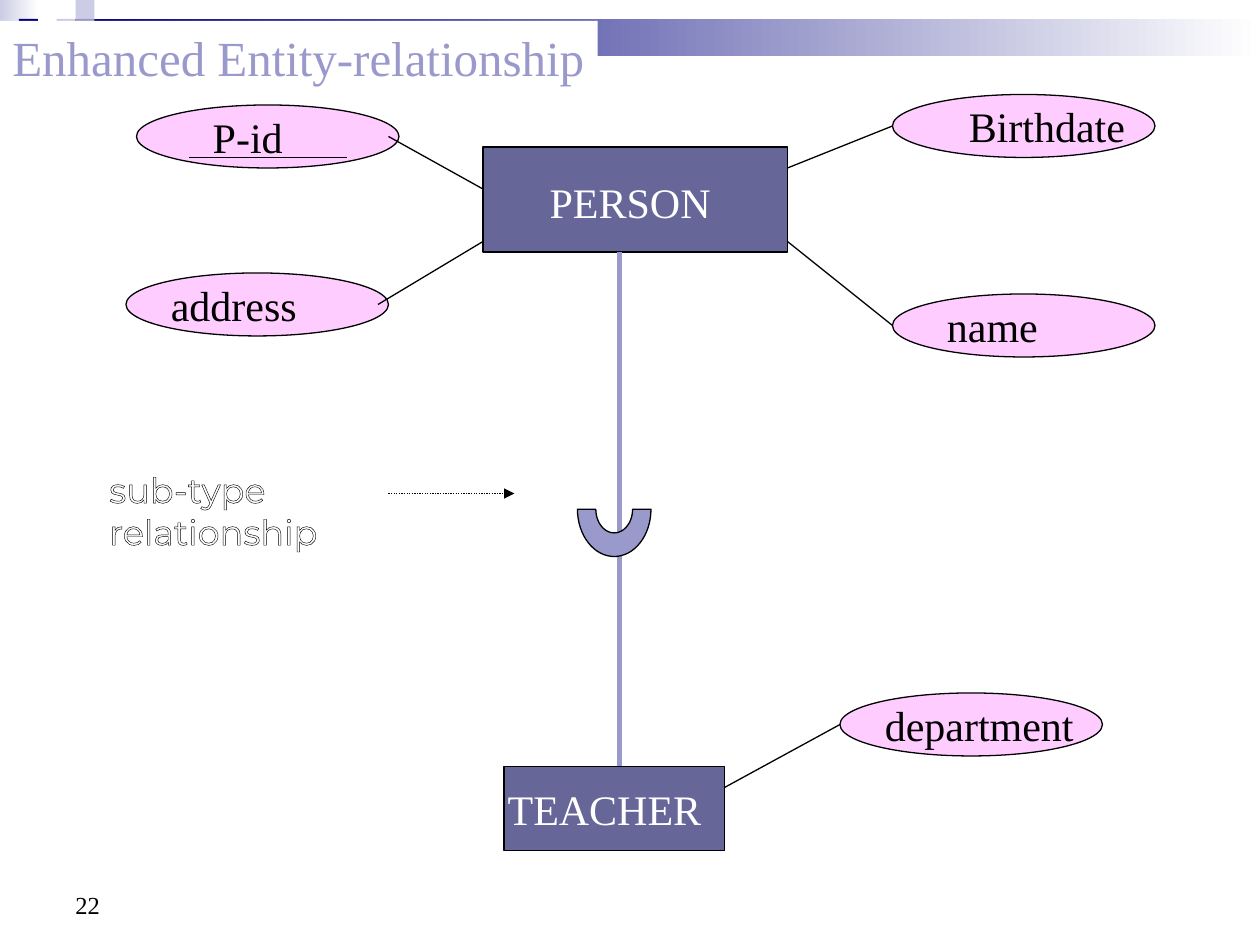
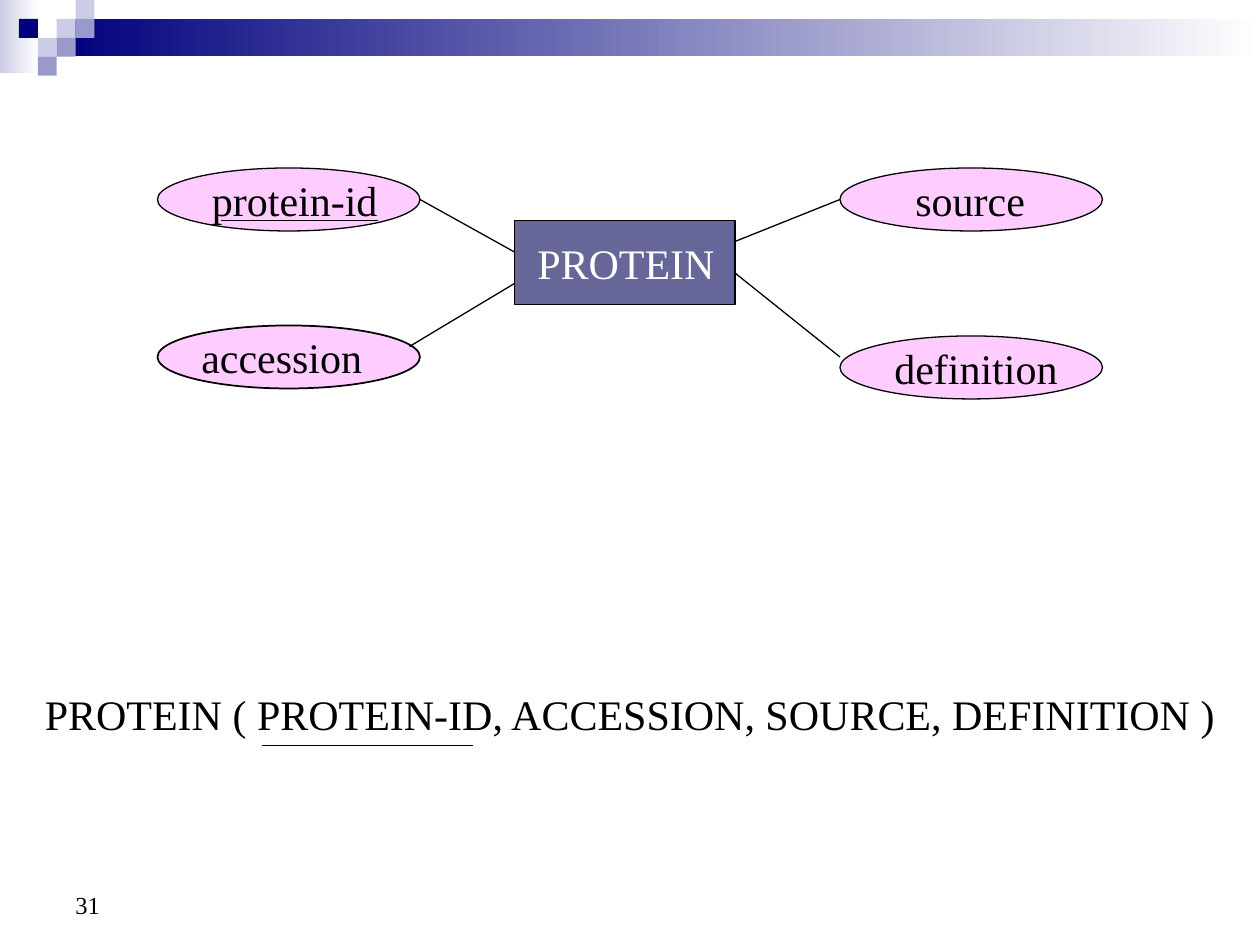
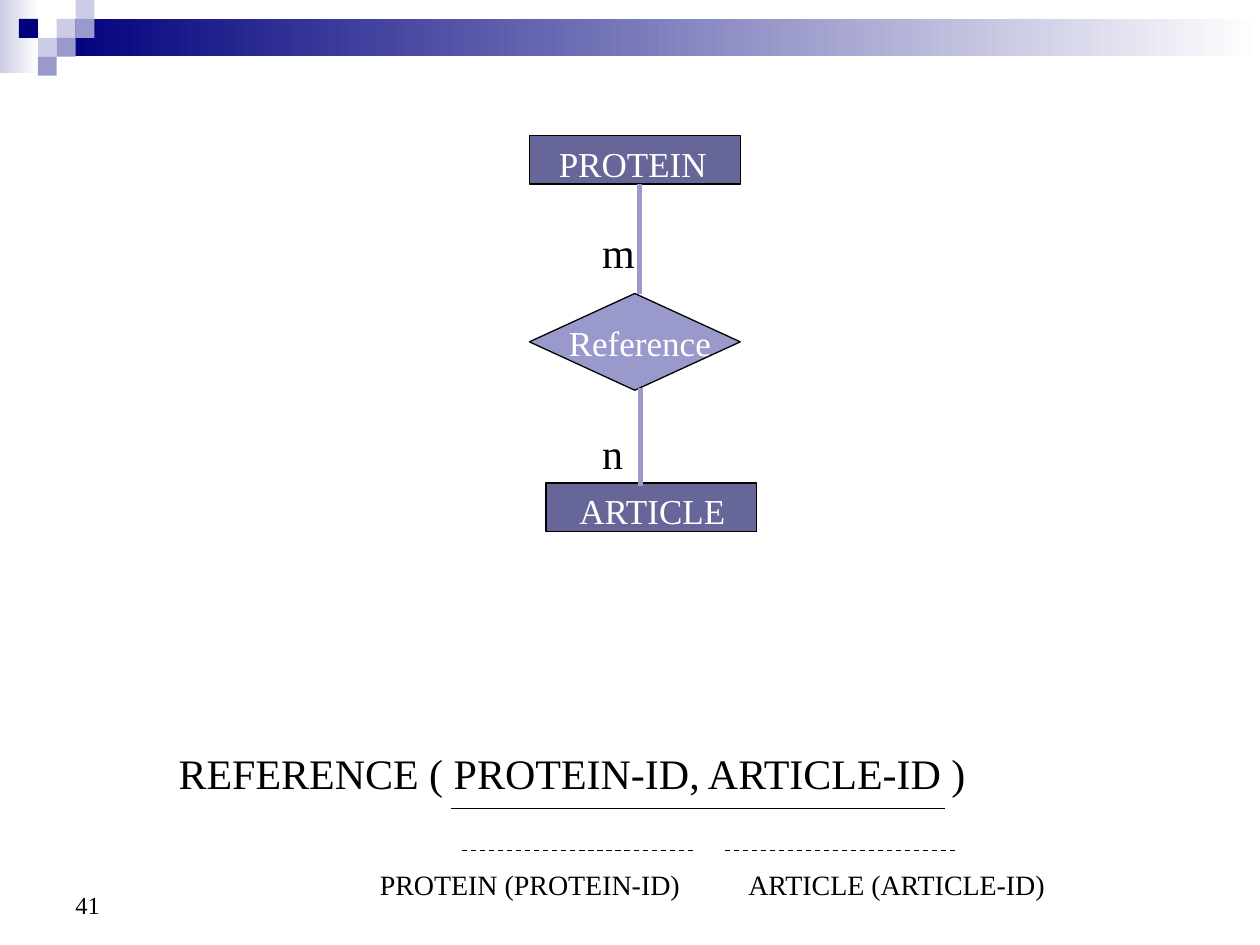
from dataclasses import dataclass
from math import cos, pi, sin

from lxml.etree import SubElement
from pptx import Presentation
from pptx.dml.color import RGBColor
from pptx.enum.dml import MSO_LINE_DASH_STYLE as Dash
from pptx.enum.shapes import MSO_CONNECTOR as Connector
from pptx.enum.shapes import MSO_SHAPE as Preset
from pptx.enum.text import MSO_ANCHOR as Anchor
from pptx.enum.text import MSO_AUTO_SIZE as AutoSize
from pptx.oxml.ns import qn
from pptx.util import Pt


@dataclass(frozen=True)
class Theme:
    ink: str = "000000"
    paper: str = "FFFFFF"
    navy: str = "00007D"
    lavender: str = "9999CC"
    mist: str = "CCCCE6"
    entity: str = "666699"
    attribute: str = "FFCCFF"
    serif: str = "Times New Roman"
    sans: str = "Montserrat"
    title: int = 28
    body: int = 24
    compact: int = 20
    note: int = 16
    number: int = 14
    thin: float = 0.75
    medium: float = 1
    thick: float = 3


THEME = Theme()
CELL = 10.8
ATTRIBUTE_WIDTH, ATTRIBUTE_HEIGHT = 150, 36
UPPER_SQUARES = ((3, 1, THEME.mist), (4, 0, THEME.mist), (4, 1, THEME.lavender),
                 (1, 1, THEME.navy))
LOWER_SQUARES = ((2, 2, THEME.mist), (3, 2, THEME.lavender), (2, 3, THEME.lavender))


def rgb(color):
    return RGBColor.from_string(color)


def style_outline(shape, color, width=THEME.thin):
    shape.fill.solid()
    shape.fill.fore_color.rgb = rgb(color)
    shape.line.color.rgb = rgb(THEME.ink)
    shape.line.width = Pt(width)
    shape.shadow.inherit = False


def add_preset(slide, preset, left, top, width, height, color, line_width=THEME.thin):
    shape = slide.shapes.add_shape(preset, Pt(left), Pt(top), Pt(width), Pt(height))
    style_outline(shape, color, line_width)
    return shape


def add_band_part(slide, left, top, width, height, color, fades=False):
    shape = add_preset(slide, Preset.RECTANGLE, left, top, width, height, color)
    shape.line.fill.background()
    if fades:
        shape.fill.gradient()
        shape.fill.gradient_angle = 0
        for stop, stop_color in zip(shape.fill.gradient_stops, (color, THEME.paper)):
            stop.color.rgb = rgb(stop_color)


def add_label(slide, text, left, top, width, height=36, size=THEME.body,
              color=THEME.ink, font=THEME.serif):
    box = slide.shapes.add_textbox(Pt(left), Pt(top), Pt(width), Pt(height))
    frame = box.text_frame
    frame.text = text
    frame.word_wrap = False
    frame.auto_size = AutoSize.SHAPE_TO_FIT_TEXT
    for paragraph in frame.paragraphs:
        for run in paragraph.runs:
            run.font.name = font
            run.font.size = Pt(size)
            run.font.color.rgb = rgb(color)
    return box


def add_title(slide, text):
    box = add_label(slide, text, 0, 12, 341.5, 41, THEME.title, THEME.lavender)
    box.fill.solid()
    box.fill.fore_color.rgb = rgb(THEME.paper)


def add_outlined_label(slide, text, left, top, width, height):
    box = add_label(slide, text, left, top, width, height, THEME.compact,
                    THEME.paper, THEME.sans)
    box.text_frame.auto_size = AutoSize.NONE
    for paragraph in box.text_frame.paragraphs:
        for run in paragraph.runs:
            properties = run.font._element
            outline = SubElement(properties, qn("a:ln"), w=str(Pt(THEME.thin)))
            fill = SubElement(outline, qn("a:solidFill"))
            SubElement(fill, qn("a:srgbClr"), val=THEME.ink)
            properties.insert(0, outline)


def add_line(slide, start, end, color=THEME.ink, width=THEME.thin, dash=None, arrow=False):
    connector = slide.shapes.add_connector(
        Connector.STRAIGHT, *(Pt(value) for value in (*start, *end)))
    connector.line.color.rgb = rgb(color)
    connector.line.width = Pt(width)
    if dash:
        connector.line.dash_style = dash
    if arrow:
        SubElement(connector.line._get_or_add_ln(), qn("a:tailEnd"), type="triangle")
    SubElement(connector._element.spPr, qn("a:effectLst"))


def add_link(slide, start, end):
    add_line(slide, start, end, THEME.lavender, THEME.thick)


def add_attribute(slide, text, left, top, text_left, text_width, line_width=THEME.thin):
    add_preset(slide, Preset.OVAL, left, top, ATTRIBUTE_WIDTH, ATTRIBUTE_HEIGHT,
               THEME.attribute, line_width)
    add_label(slide, text, text_left, top, text_width)


def add_node(slide, text, bounds, text_bounds, size=THEME.body,
             preset=Preset.RECTANGLE, color=THEME.entity):
    add_preset(slide, preset, *bounds, color)
    add_label(slide, text, *text_bounds, size=size, color=THEME.paper)


def add_subtype_arc(slide, center_x, center_y, radius_x, radius_y, steps=32):
    def half_ellipse(scale):
        angles = (pi * step / steps for step in range(steps + 1))
        return [(Pt(center_x + scale * radius_x * cos(angle)),
                 Pt(center_y + scale * radius_y * sin(angle))) for angle in angles]

    points = half_ellipse(1) + half_ellipse(0.5)[::-1]
    builder = slide.shapes.build_freeform(*points[0])
    builder.add_line_segments(points[1:], close=True)
    style_outline(builder.convert_to_shape(), THEME.lavender)


def add_framed_slide(presentation, number, squares=UPPER_SQUARES + LOWER_SQUARES):
    slide = presentation.slides.add_slide(presentation.slide_layouts[6])
    add_band_part(slide, 0, 0, 22, 42, THEME.mist, fades=True)
    add_band_part(slide, 3 * CELL, CELL, 720 - 3 * CELL, 21.3, THEME.navy, fades=True)
    for column, row, color in squares:
        add_band_part(slide, column * CELL, row * CELL, CELL, CELL, color)
    frame = add_label(slide, str(number), 36, 492, 168, 37.2, THEME.number).text_frame
    frame.auto_size = AutoSize.NONE
    frame.word_wrap = True
    frame.vertical_anchor = Anchor.BOTTOM
    return slide


def build_person_slide(presentation):
    slide = add_framed_slide(presentation, 22, UPPER_SQUARES)
    add_attribute(slide, "P-id", 78, 60, 114.5, 56)
    add_attribute(slide, "address", 72, 156, 90.5, 87.5)
    add_attribute(slide, "name", 510, 168, 534, 68)
    add_attribute(slide, "Birthdate", 510, 54, 546.5, 104.5)
    add_attribute(slide, "department", 480, 396, 498.5, 123.5)
    add_node(slide, "PERSON", (276, 84, 174, 60), (307, 97.5, 107.5))
    add_node(slide, "TEACHER", (288, 438, 126, 48), (283, 444, 127))
    for start, end in (((276, 108), (222, 78)), ((276, 138), (216, 174)),
                       ((450, 96), (510, 72)), ((450, 138), (510, 186)),
                       ((414, 450), (480, 414)), ((108, 90), (198, 90))):
        add_line(slide, start, end)
    add_link(slide, (354, 438), (354, 144))
    add_title(slide, "Enhanced Entity-relationship")
    add_outlined_label(slide, "sub-type\nrelationship", 55.3, 264, 134, 57)
    add_line(slide, (222, 282), (294, 282), dash=Dash.ROUND_DOT, arrow=True)
    add_subtype_arc(slide, 351, 291, 21, 27)


def build_protein_slide(presentation):
    slide = add_framed_slide(presentation, 31)
    add_attribute(slide, "protein-id", 90, 96, 114, 110.5)
    add_attribute(slide, "accession", 90, 186, 108, 108, THEME.medium)
    add_attribute(slide, "definition", 480, 192, 504, 108.5)
    add_attribute(slide, "source", 480, 96, 516, 78)
    add_node(slide, "PROTEIN", (294, 126, 126, 48), (300, 132, 117))
    for start, end in (((294, 144), (240, 114)), ((294, 162), (234, 198)),
                       ((420, 138), (480, 114)), ((420, 156), (480, 204)),
                       ((126, 126), (216, 126)), ((150, 426), (270, 426))):
        add_line(slide, start, end)
    add_label(slide, "PROTEIN ( PROTEIN-ID, ACCESSION, SOURCE, DEFINITION )", 18.5, 390, 685)


def build_reference_slide(presentation):
    slide = add_framed_slide(presentation, 41)
    add_node(slide, "Reference", (302.5, 167.7, 120.5, 55.3), (318, 180, 97, 31.5),
             THEME.compact, Preset.DIAMOND, THEME.lavender)
    add_node(slide, "PROTEIN", (302.5, 77.3, 120.5, 27.8), (312.2, 78, 100.5, 31.5),
             THEME.compact)
    add_node(slide, "ARTICLE", (312, 276, 120.5, 27.8), (324, 276, 100.5, 31.5),
             THEME.compact)
    add_link(slide, (365.6, 168), (365.6, 105))
    add_link(slide, (366, 222), (366, 278))
    add_label(slide, "m", 337, 126, 34)
    add_label(slide, "n", 337, 240.5, 27)
    add_label(slide, "REFERENCE ( PROTEIN-ID, ARTICLE-ID )", 95, 423.5, 467.5)
    add_line(slide, (258, 462), (540, 462))
    for text, text_left, line_left in (("PROTEIN (PROTEIN-ID)", 210, 264),
                                       ("ARTICLE (ARTICLE-ID)", 420.5, 414)):
        add_line(slide, (line_left, 486), (line_left + 132, 486), dash=Dash.DASH)
        add_label(slide, text, text_left, 492, 187, 26.5, THEME.note)


def main():
    presentation = Presentation()
    presentation.slide_width, presentation.slide_height = Pt(720), Pt(540)
    build_person_slide(presentation)
    build_protein_slide(presentation)
    build_reference_slide(presentation)
    presentation.save("out.pptx")


if __name__ == "__main__":
    main()
